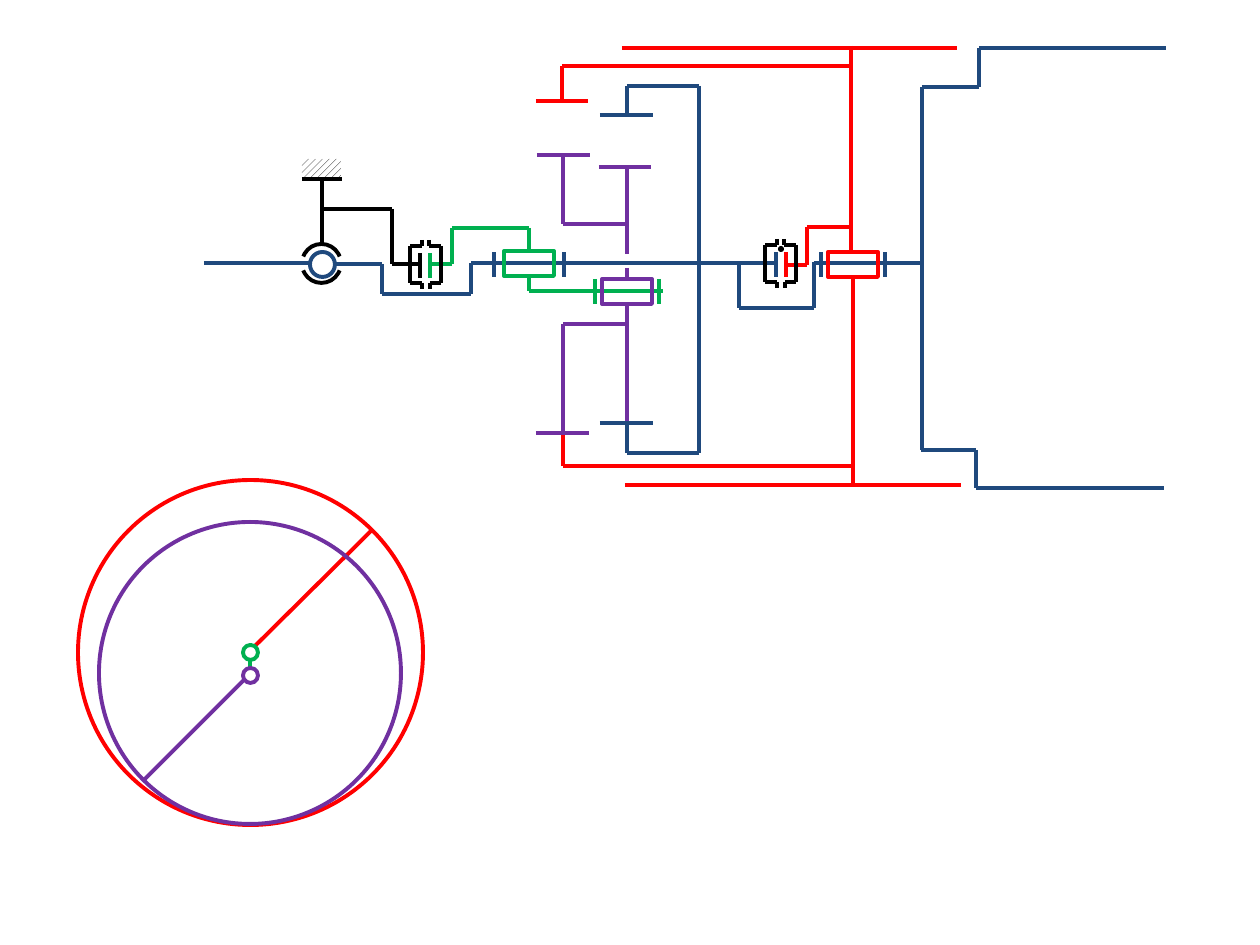
from itertools import pairwise
from lxml.etree import SubElement
from pptx import Presentation
from pptx.dml.color import RGBColor
from pptx.enum.dml import MSO_PATTERN
from pptx.enum.shapes import MSO_CONNECTOR, MSO_SHAPE
from pptx.oxml.ns import qn
from pptx.util import Emu, Pt

SCALE = 914400 / 126
BLACK, BLUE, GREEN = "000000", "1F497D", "00B050"
PURPLE, RED, WHITE = "7030A0", "FF0000", "FFFFFF"

RED_ARM = (RED, [(255, 646), (372, 530)])

SHAFTS = [
    (BLUE, [(335, 264), (382, 264), (382, 294), (471, 294), (471, 263), (776, 263)]),
    (BLUE, [(204, 263), (310, 263)]),
    (BLUE, [(627, 115), (627, 86), (699, 86), (699, 453), (627, 453), (627, 423)]),
    (GREEN, [(430, 264), (452, 264), (452, 228), (529, 228), (529, 252)]),
    (GREEN, [(529, 276), (529, 291), (663, 291)]),
    (PURPLE, [(627, 168), (627, 254)]),
    (PURPLE, [(627, 268), (627, 279)]),
    (PURPLE, [(627, 304), (627, 423)]),
    (PURPLE, [(627, 224), (563, 224), (563, 155)]),
    (PURPLE, [(627, 324), (563, 324), (563, 433)]),
    (RED, [(788, 265), (807, 265), (807, 227), (852, 227)]),
    (RED, [(851, 46), (851, 252)]),
    (RED, [(853, 276), (853, 485)]),
    (RED, [(562, 101), (562, 66), (851, 66)]),
    (RED, [(563, 433), (563, 466), (854, 466)]),
    (BLUE, [(814, 263), (922, 263)]),
    (BLUE, [(922, 87), (922, 450)]),
    (BLUE, [(922, 87), (979, 87), (979, 48), (1166, 48)]),
    (BLUE, [(921, 450), (976, 450), (976, 488), (1164, 488)]),
    (BLUE, [(739, 262), (739, 308), (814, 308), (814, 262)]),
    (BLACK, [(322, 179), (322, 245)]),
    (BLACK, [(322, 209), (392, 209), (392, 264), (422, 264)]),
]

BARS = [
    (BLUE, 600, 653, 115),
    (PURPLE, 599, 651, 167),
    (PURPLE, 537, 590, 155),
    (RED, 536, 588, 101),
    (RED, 622, 957, 48),
    (RED, 625, 961, 485),
    (PURPLE, 536, 589, 433),
    (BLUE, 600, 653, 423),
    (BLACK, 302, 342, 179),
]

TICK_HEIGHT = 25
TICKS = [
    (BLACK, 420, 253), (GREEN, 430, 253),
    (BLUE, 494, 252), (BLUE, 564, 252),
    (GREEN, 595, 279), (GREEN, 659, 279),
    (BLUE, 776, 252), (RED, 786, 252),
    (BLUE, 821, 252), (BLUE, 885, 252),
]

BEARINGS = [(GREEN, 504, 251), (PURPLE, 602, 279), (RED, 828, 252)]
CLUTCHES = [(410, 246), (765, 245)]
CLUTCH_HALVES = [
    [(12, -6), (12, 0), (0, 0), (0, 37), (12, 37), (12, 43)],
    [(19, -6), (19, 0), (31, 0), (31, 37), (20, 37), (20, 43)],
]
GROUND_ARCS = [(21, 159), (201, 339)]

presentation = Presentation()
presentation.slide_width = Emu(round(1260 * SCALE))
presentation.slide_height = Emu(round(945 * SCALE))
slide = presentation.slides.add_slide(presentation.slide_layouts[6])


def px(*lengths):
    return [Emu(round(length * SCALE)) for length in lengths]


def rgb(color):
    return RGBColor.from_string(color)


def add_path(color, points):
    for start, end in pairwise(points):
        connector = slide.shapes.add_connector(
            MSO_CONNECTOR.STRAIGHT, *px(*start, *end))
        connector.line.color.rgb = rgb(color)
        connector.line.width = Pt(2.25)
        SubElement(connector._element.spPr, qn("a:effectLst"))


def add_outline(kind, color, left, top, width, height):
    shape = slide.shapes.add_shape(kind, *px(left, top, width, height))
    shape.shadow.inherit = False
    shape.fill.background()
    if color:
        shape.line.color.rgb = rgb(color)
        shape.line.width = Pt(2.25)
    else:
        shape.line.fill.background()
    return shape


def add_circle(color, left, top, diameter):
    return add_outline(MSO_SHAPE.OVAL, color, left, top, diameter, diameter)


ground = add_outline(MSO_SHAPE.RECTANGLE, None, 302, 159, 39, 20)
ground.fill.patterned()
ground.fill.pattern = MSO_PATTERN.WIDE_UPWARD_DIAGONAL
ground.fill.fore_color.rgb = rgb(BLACK)
ground.fill.back_color.rgb = rgb(WHITE)

add_path(*RED_ARM)
add_circle(BLUE, 310, 252, 25)
for start_angle, end_angle in GROUND_ARCS:
    arc = add_outline(MSO_SHAPE.ARC, BLACK, 302, 244, 39, 39)
    arc.adjustments[0] = start_angle * 0.6
    arc.adjustments[1] = end_angle * 0.6

for color, points in SHAFTS:
    add_path(color, points)
for color, left, right, y in BARS:
    add_path(color, [(left, y), (right, y)])
for color, x, top in TICKS:
    add_path(color, [(x, top), (x, top + TICK_HEIGHT)])
for color, left, top in BEARINGS:
    add_outline(MSO_SHAPE.RECTANGLE, color, left, top, 50, 25)
for left, top in CLUTCHES:
    for half in CLUTCH_HALVES:
        add_path(BLACK, [(left + x, top + y) for x, y in half])

add_circle(RED, 78, 480, 345)
add_circle(GREEN, 243, 645, 15)
add_path(PURPLE, [(244, 680), (144, 780)])
add_path(GREEN, [(250, 659), (250, 668)])
add_circle(PURPLE, 243, 668, 15)
add_circle(PURPLE, 99, 522, 302)

roller = add_circle(None, 778, 246, 6)
roller.fill.solid()
roller.fill.fore_color.rgb = rgb(BLACK)

presentation.save("out.pptx")
